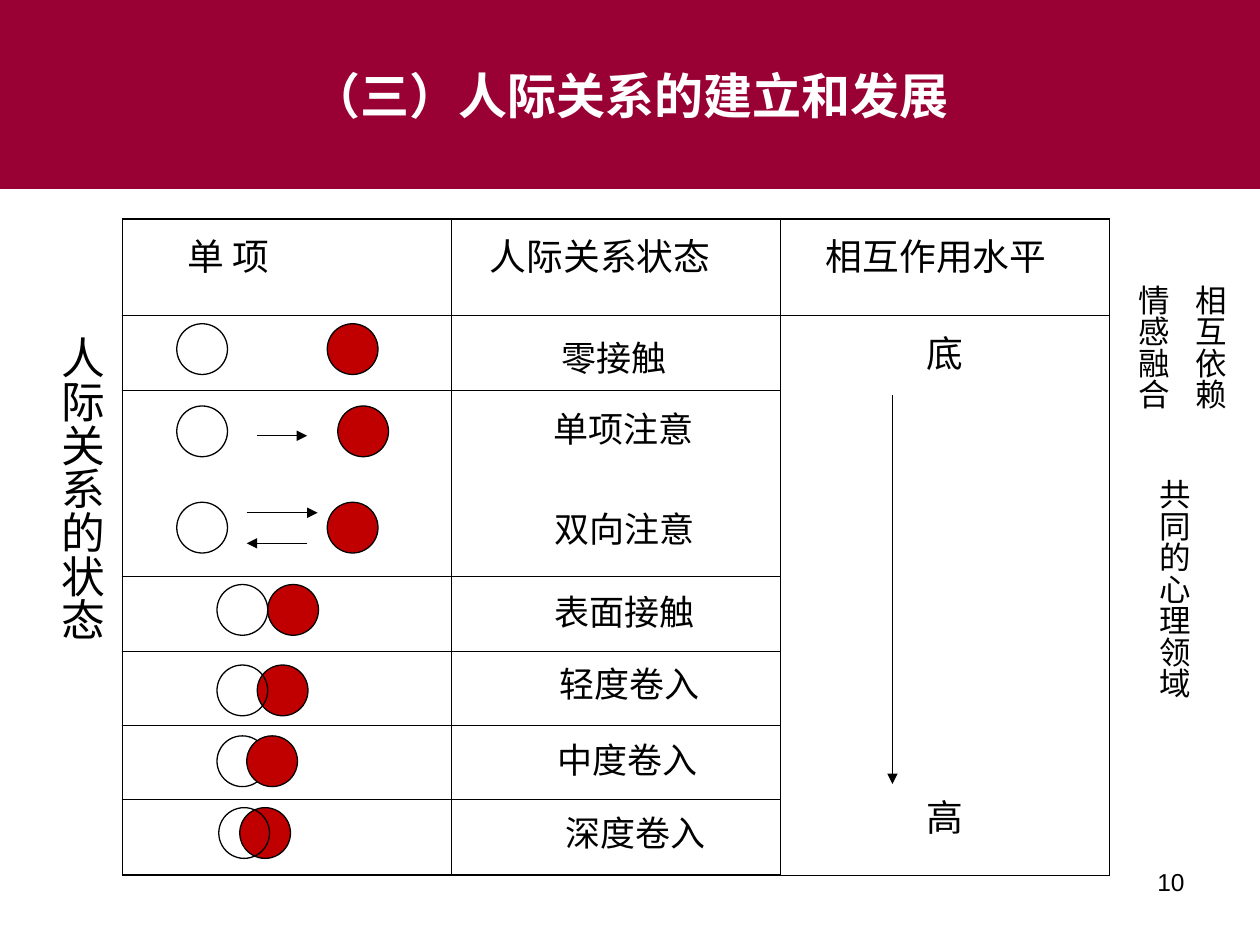
from pptx import Presentation
from pptx.dml.color import RGBColor
from pptx.enum import shapes, text
from pptx.oxml import ns, xmlchemy as xc
from pptx.util import Pt

HUES = {"wine": "990033", "red": "C00000", "ink": "000000", "paper": "FFFFFF"}
CJK = "Noto Sans CJK SC"
HEADS = [("单 项", 37), ("人际关系状态", 22), ("相互作用水平", 26)]
ROWS = [55.5, 42.5, 106.5, 42.5, 42.5, 42.5, 43]
COL = 188
DISC = 29
# state, label centre x, label top, disc top, white x, red x, red in front
STATES = [
    ("零接触", 281, 63.5, 60, 31, 117, False),
    ("单项注意", 286.5, 104.5, 107, 31, 123, False),
    ("双向注意", 287, 161.5, 162, 31, 117, False),
    ("表面接触", 287, 209, 209, 54, 83, False),
    ("轻度卷入", 290, 250, 255, 54, 77, False),
    ("中度卷入", 288.5, 293.5, 295.5, 54, 71, True),
    ("深度卷入", 293, 335, 336.5, 55, 67, False),
]
ARROWS = [(77, 124, 105.5, 124), (71, 168, 111.5, 168),
          (105.5, 185.5, 71, 185.5), (440, 101, 440, 323)]


def color(name):
    return RGBColor.from_string(HUES[name])


def style(para, size, hue="ink", face=CJK, bold=False, align=None):
    """Format a paragraph, with the same face for East Asian letters."""
    font = para.font
    font.size, font.name, font.bold = Pt(size), face, bold
    font.color.rgb = color(hue)
    mark = xc.OxmlElement("a:ea")
    mark.set("typeface", face)
    para._p.pPr.find(ns.qn("a:defRPr")).find(ns.qn("a:latin")).addnext(mark)
    if align is not None:
        para.alignment = align


def add_text(slide, box, lines, size, gap=0, vert=False, wrap=True, **look):
    frame = slide.shapes.add_textbox(*map(Pt, box)).text_frame
    frame.word_wrap = wrap
    if vert:
        frame._txBody.bodyPr.set("vert", "eaVert")
        frame.margin_left = frame.margin_right = Pt(3.6)
        frame.margin_top = frame.margin_bottom = Pt(7.2)
    frame.text = "\n".join(lines)
    for i, para in enumerate(frame.paragraphs):
        style(para, size, **look)
        if i:
            para.space_before = Pt(gap)


def add_title(slide, box):
    title = slide.shapes.title
    title.left, title.top, title.width, title.height = map(Pt, box)
    title.fill.solid()
    title.fill.fore_color.rgb = color("wine")
    frame = title.text_frame
    frame.auto_size = text.MSO_AUTO_SIZE.NONE
    frame.vertical_anchor = text.MSO_ANCHOR.MIDDLE
    frame.text = "（三）人际关系的建立和发展"
    style(frame.paragraphs[0], 28, "paper", bold=True,
          align=text.PP_ALIGN.CENTER)


def add_edges(cell, widths):
    """Draw cell borders; widths are left, right, top and bottom."""
    props = cell._tc.get_or_add_tcPr()
    for i, (side, width) in enumerate(zip("LRTB", widths)):
        line = xc.OxmlElement(f"a:ln{side}")
        line.set("w", str(Pt(width)))
        fill = xc.OxmlElement("a:solidFill")
        hue = xc.OxmlElement("a:srgbClr")
        hue.set("val", HUES["ink"])
        fill.append(hue)
        line.append(fill)
        props.insert(i, line)


def add_grid(slide, left, top):
    rows, cols = len(ROWS), len(HEADS)
    table = slide.shapes.add_table(rows, cols, Pt(left), Pt(top),
                                   Pt(COL * cols), Pt(sum(ROWS))).table
    table.first_row = table.horz_banding = False
    for col in table.columns:
        col.width = Pt(COL)
    for row, height in zip(table.rows, ROWS):
        row.height = Pt(height)
    for r in range(rows):
        for c in range(cols):
            cell = table.cell(r, c)
            cell.fill.background()
            outer = (c == 0, c == cols - 1, r == 0, r == rows - 1)
            add_edges(cell, [1.08 if edge else 0.45 for edge in outer])
    for c, (head, inset) in enumerate(HEADS):
        cell = table.cell(0, c)
        cell.text = head
        cell.margin_left, cell.margin_top = Pt(inset), Pt(5)
        style(cell.text_frame.paragraphs[0], 21)
    level = table.cell(1, 2)
    level.merge(table.cell(rows - 1, 2))
    level.text = "底\n高"
    level.margin_top = Pt(5)
    for para in level.text_frame.paragraphs:
        style(para, 21, align=text.PP_ALIGN.CENTER)
    para.space_before = Pt(235)


def add_disc(slide, x, y, hue=None):
    disc = slide.shapes.add_shape(shapes.MSO_SHAPE.OVAL,
                                  Pt(x), Pt(y), Pt(DISC), Pt(DISC))
    disc.shadow.inherit = False
    if hue:
        disc.fill.solid()
        disc.fill.fore_color.rgb = color(hue)
    else:
        disc.fill.background()
    disc.line.color.rgb = color("ink")
    disc.line.width = Pt(0.75)


def add_arrow(slide, x1, y1, x2, y2):
    arrow = slide.shapes.add_connector(shapes.MSO_CONNECTOR.STRAIGHT,
                                       Pt(x1), Pt(y1), Pt(x2), Pt(y2))
    arrow.line.color.rgb = color("ink")
    arrow.line.width = Pt(0.75)
    tip = xc.OxmlElement("a:tailEnd")
    tip.set("type", "triangle")
    arrow.line._get_or_add_ln().append(tip)
    arrow._element.spPr.append(xc.OxmlElement("a:effectLst"))


def add_states(slide, left, top):
    """Place the discs, arrows and state names over the grid."""
    for name, mid, y, disc, white, red, front in STATES:
        pair = [(red, "red"), (white, None)]
        for x, hue in reversed(pair) if front else pair:
            add_disc(slide, left + x, top + disc, hue)
        add_text(slide, (left + mid - 47.5, top + y, 95, 32), [name], 20,
                 wrap=False, align=text.PP_ALIGN.CENTER)
    for x1, y1, x2, y2 in ARROWS:
        add_arrow(slide, left + x1, top + y1, left + x2, top + y2)


def add_sides(slide):
    """Place the upright captions on both sides of the grid."""
    add_text(slide, (21, 185, 44.5, 241), ["人际关系的状态"], 25, vert=True)
    add_text(slide, (637, 155.5, 69, 175), ["相互依赖", "情感融合"], 18,
             gap=11, vert=True)
    add_text(slide, (649, 266.5, 36.5, 193), ["共同的心理领域"], 18, vert=True)


def main():
    deck = Presentation()
    deck.slide_width, deck.slide_height = Pt(720), Pt(540)
    slide = deck.slides.add_slide(deck.slide_layouts[5])
    add_title(slide, (0, 0, 720, 108))
    add_grid(slide, 70, 125)
    add_states(slide, 70, 125)
    add_sides(slide)
    add_text(slide, (516, 492, 168, 37.5), ["10"], 14, face="Arial",
             align=text.PP_ALIGN.RIGHT)
    deck.save("out.pptx")


if __name__ == "__main__":
    main()
